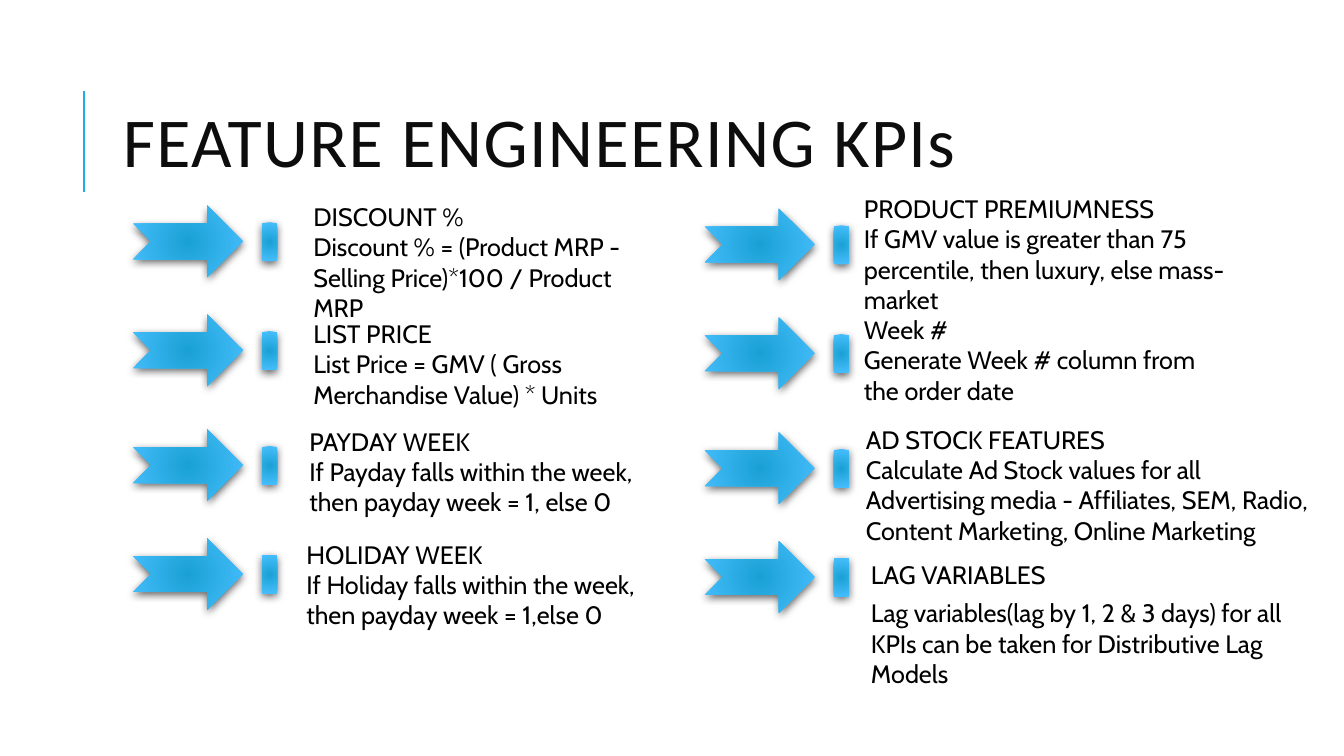
from lxml import etree
from pptx import Presentation
from pptx.dml.color import RGBColor
from pptx.enum import shapes, text
from pptx.oxml import parse_xml
from pptx.oxml import ns
from pptx.util import Inches, Pt

COLORS = {"rule": "1CADE4", "title": "0D0D0D", "body": "000000",
          "center": "1AA1D4", "edge": "48BFFF", "shadow": "000000"}
ROW_TOPS = [2.04, 3.12, 4.26, 5.34]
COLUMNS = [(1.32, 0), (6.99, 0.03)]
KPIS = [
    ((3.01, 1.95, 3.68, 1.01), "DISCOUNT %",
     "Discount % = (Product MRP - Selling Price)*100 / Product MRP"),
    ((3.01, 3.11, 3.83, 1.31), "LIST PRICE",
     "List Price = GMV ( Gross Merchandise Value) * Units"),
    ((2.97, 4.18, 3.68, 1.31), "PAYDAY WEEK",
     "If Payday falls within the week, then payday week = 1, else 0"),
    ((2.94, 5.3, 3.83, 1.31), "HOLIDAY WEEK",
     "If Holiday falls within the week, then payday week = 1,else 0"),
    ((8.47, 1.87, 4.28, 1.31), "PRODUCT PREMIUMNESS",
     "If GMV value is greater than 75 percentile, then luxury, else mass-market"),
    ((8.47, 3.07, 3.63, 1.31), "Week #",
     "Generate Week # column from the order date"),
    ((8.49, 4.16, 4.65, 1.62), "AD STOCK FEATURES",
     "Calculate Ad Stock values for all Advertising media - Affiliates, SEM, Radio, "
     "Content Marketing, Online Marketing"),
]
LAG = ((8.27, 5.5, 4.75, 1.4), "LAG VARIABLES",
       "Lag variables(lag by 1, 2 & 3 days) for all KPIs can be taken for "
       "Distributive Lag Models")


def rgb(name):
    """Return a named colour."""
    return RGBColor.from_string(COLORS[name])


def add_text(s, box, lines, size, font, color):
    """Add a wrapping text box with one paragraph per line."""
    tf = s.shapes.add_textbox(*map(Inches, box)).text_frame
    tf.word_wrap = True
    tf.text = "\n".join(lines)
    for p in tf.paragraphs:
        p.font.size, p.font.name, p.font.color.rgb = Pt(size), font, rgb(color)
    return tf


def add_title(s, title):
    """Add the slide title and the vertical rule beside it."""
    tf = add_text(s, (1.12, 0.64, 10.63, 1.64), [title], 50, "Calibri", "title")
    tf.vertical_anchor = text.MSO_ANCHOR.MIDDLE
    p = tf.paragraphs[0]
    p.line_spacing = 0.8
    p.runs[0].font._element.set("spc", "100")
    rule = s.shapes.add_connector(shapes.MSO_CONNECTOR.STRAIGHT, Inches(0.83),
                                  Inches(1.9), Inches(0.83), Inches(0.9))
    rule.line.color.rgb, rule.line.width = rgb("rule"), Pt(1.5)
    etree.SubElement(rule._element.spPr, ns.qn("a:effectLst"))


def add_glossy(s, kind, box):
    """Add a borderless shape with a radial gradient and a soft shadow."""
    sp = s.shapes.add_shape(kind, *map(Inches, box))
    sp.line.fill.background()
    sp.shadow.inherit = False
    spPr = sp._element.spPr
    spPr.find(ns.qn("a:ln")).addprevious(parse_xml(
        f'<a:gradFill {ns.nsdecls("a")} rotWithShape="1"><a:gsLst>'
        f'<a:gs pos="0"><a:srgbClr val="{COLORS["center"]}"/></a:gs>'
        f'<a:gs pos="100000"><a:srgbClr val="{COLORS["edge"]}"/></a:gs></a:gsLst>'
        '<a:path path="circle"><a:fillToRect l="100000" t="100000" r="100000" '
        'b="100000"/></a:path></a:gradFill>'))
    spPr.find(ns.qn("a:effectLst")).append(parse_xml(
        f'<a:outerShdw {ns.nsdecls("a")} blurRad="{Pt(6)}" dist="{Pt(2)}" '
        f'dir="5400000" rotWithShape="0"><a:srgbClr val="{COLORS["shadow"]}">'
        '<a:alpha val="60000"/></a:srgbClr></a:outerShdw>'))


def add_marker(s, left, top):
    """Add an arrow and the small bar after it."""
    add_glossy(s, shapes.MSO_SHAPE.NOTCHED_RIGHT_ARROW, (left, top, 1.09, 0.71))
    add_glossy(s, shapes.MSO_SHAPE.RECTANGLE, (left + 1.28, top + 0.17, 0.15, 0.38))


def add_kpi(s, box, name, rule):
    """Add a KPI name with its rule below."""
    return add_text(s, box, [name, rule], 18, "Cabin", "body")


def main():
    """Build and save the slide."""
    prs = Presentation()
    prs.slide_width, prs.slide_height = Inches(13.33), Inches(7.5)
    s = prs.slides.add_slide(prs.slide_layouts[6])
    add_title(s, "FEATURE ENGINEERING KPIs")
    for left, shift in COLUMNS:
        for top in ROW_TOPS:
            add_marker(s, left, top + shift)
    for kpi in KPIS:
        add_kpi(s, *kpi)
    for p in add_kpi(s, *LAG).paragraphs:
        p.space_before = Pt(5.8)
        p._p.get_or_add_pPr().set("marL", str(Inches(0.27)))
    prs.save("out.pptx")


if __name__ == "__main__":
    main()
